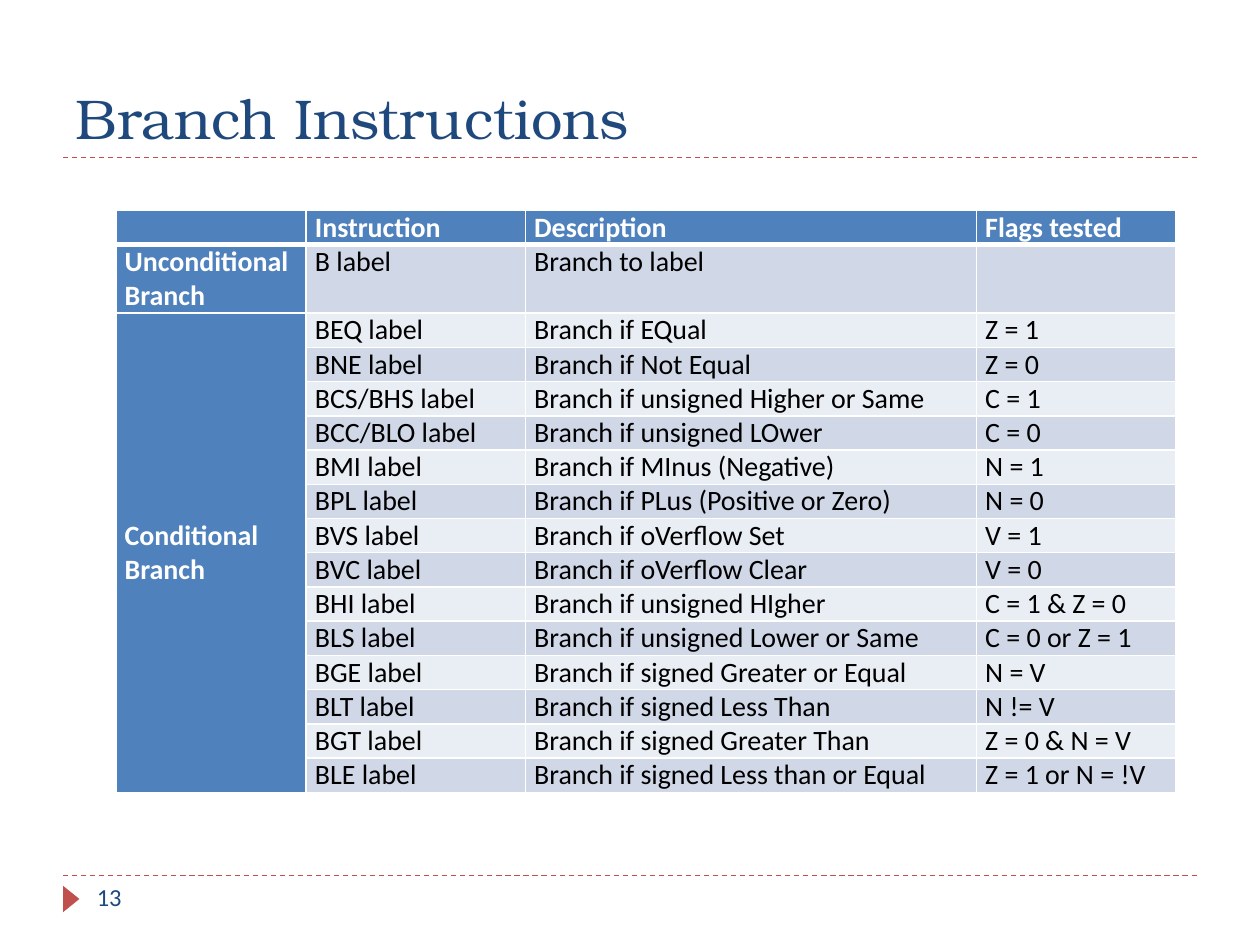
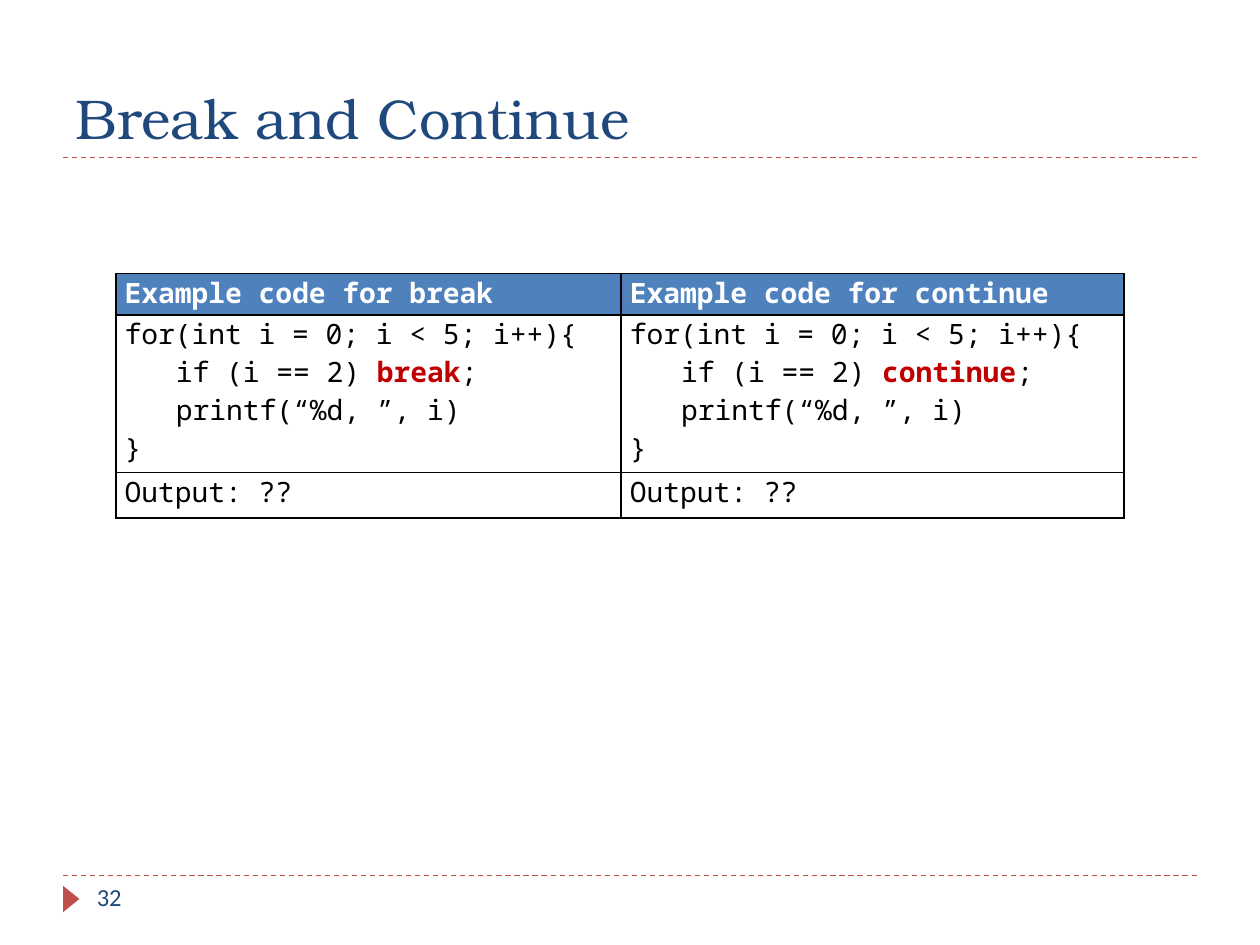
"""Builds two lecture slides: branch instructions, and break versus continue."""
from dataclasses import dataclass

from lxml import etree
from pptx import Presentation
from pptx import util as u
from pptx.dml.color import RGBColor
from pptx.enum import dml, shapes, text
from pptx.oxml.ns import qn


@dataclass(frozen=True)
class Theme:
    navy: str = "1F497D"
    red: str = "C0504D"
    header: str = "4F81BD"
    band_dark: str = "D0D8E8"
    band_light: str = "E9EDF4"
    keyword: str = "C00000"
    white: str = "FFFFFF"
    black: str = "000000"
    title_face: str = "TeX Gyre Bonum"
    body_face: str = "Calibri"
    code_face: str = "Noto Sans Mono"
    title_size: int = 32
    table_size: int = 16
    number_size: int = 14


theme = Theme()


def style(span, face, size, colour, bold=False):
    span.font.name = face
    span.font.size = u.Pt(size)
    span.font.bold = bold
    span.font.color.rgb = RGBColor.from_string(colour)


def write_cell(cell, lines, face, fill, border, widths, heading, keyword=None):
    cell.margin_left = cell.margin_right = u.Inches(0.07)
    cell.margin_top = cell.margin_bottom = 0
    cell.text_frame.text = "\n".join(lines)
    for para in cell.text_frame.paragraphs:
        para.alignment = text.PP_ALIGN.JUSTIFY
        line = para.text
        if line.startswith(" "):
            para._p.get_or_add_pPr().set("indent", str(u.Inches(0.14)))
        if keyword and keyword in line:
            before, _, after = line.partition(keyword)
            para.text = before
            para.add_run().text = keyword
            para.add_run().text = after
        for span in para.runs:
            marked = span.text == keyword
            colour = theme.keyword if marked else theme.white if heading else theme.black
            style(span, face, theme.table_size, colour, heading or marked)
        if not line:
            etree.SubElement(para._p, qn("a:endParaRPr"), sz=str(theme.table_size * 100))
    if fill:
        cell.fill.solid()
        cell.fill.fore_color.rgb = RGBColor.from_string(fill)
    else:
        cell.fill.background()
    properties = cell._tc.get_or_add_tcPr()
    for index, (side, width) in enumerate(zip("LRTB", widths)):
        edge = etree.Element(qn(f"a:ln{side}"), w=str(u.Pt(width)))
        paint = etree.SubElement(edge, qn("a:solidFill"))
        etree.SubElement(paint, qn("a:srgbClr"), val=border)
        properties.insert(index, edge)


deck = Presentation()
deck.slide_width, deck.slide_height = u.Inches(10), u.Inches(7.5)
layout = deck.slide_layouts.get_by_name("Title Only")
pages = []

for heading, number in (("Branch Instructions", "13"), ("Break and Continue", "32")):
    page = deck.slides.add_slide(layout)
    pages.append(page)
    title = page.shapes.title
    title.left, title.top = u.Inches(0.5), u.Inches(0.17)
    title.width, title.height = u.Inches(9), u.Inches(1.08)
    title.text_frame.text = heading
    title.text_frame.vertical_anchor = text.MSO_ANCHOR.BOTTOM
    title.text_frame.paragraphs[0].alignment = text.PP_ALIGN.LEFT
    style(title.text_frame.paragraphs[0].runs[0], theme.title_face, theme.title_size, theme.navy)

    box = page.shapes.add_textbox(u.Inches(0.67), u.Inches(6.95), u.Inches(2.17), u.Inches(0.4))
    box.text_frame.word_wrap = True
    box.text_frame.text = number
    style(box.text_frame.paragraphs[0].runs[0], theme.body_face, theme.number_size, theme.navy)

branch_page, loop_page = pages

for rule_top in (6.95, 1.25):
    rule = branch_page.shapes.add_connector(
        shapes.MSO_CONNECTOR.STRAIGHT,
        u.Inches(0.5), u.Inches(rule_top), u.Inches(9.5), u.Inches(rule_top))
    rule.line.color.rgb = RGBColor.from_string(theme.red)
    rule.line.width = u.Pt(0.75)
    rule.line.dash_style = dml.MSO_LINE.DASH
    etree.SubElement(rule._element.spPr, qn("a:effectLst"))
    layout.shapes._spTree.append(rule._element)

marker = branch_page.shapes.add_shape(
    shapes.MSO_SHAPE.ISOSCELES_TRIANGLE,
    u.Inches(0.46), u.Inches(7.07), u.Inches(0.21), u.Inches(0.13))
marker.rotation = 90
marker.shadow.inherit = False
marker.fill.solid()
marker.fill.fore_color.rgb = RGBColor.from_string(theme.red)
marker.line.fill.background()
layout.shapes._spTree.append(marker._element)

branch_rows = [
    ("", "Instruction", "Description", "Flags tested"),
    ("Unconditional Branch", "B label", "Branch to label", ""),
    ("Conditional Branch", "BEQ label", "Branch if EQual", "Z = 1"),
    ("", "BNE label", "Branch if Not Equal", "Z = 0"),
    ("", "BCS/BHS label", "Branch if unsigned Higher or Same", "C = 1"),
    ("", "BCC/BLO label", "Branch if unsigned LOwer", "C = 0"),
    ("", "BMI label", "Branch if MInus (Negative)", "N = 1"),
    ("", "BPL label", "Branch if PLus (Positive or Zero)", "N = 0"),
    ("", "BVS label", "Branch if oVerflow Set", "V = 1"),
    ("", "BVC label", "Branch if oVerflow Clear", "V = 0"),
    ("", "BHI label", "Branch if unsigned HIgher", "C = 1 & Z = 0"),
    ("", "BLS label", "Branch if unsigned Lower or Same", "C = 0 or Z = 1"),
    ("", "BGE label", "Branch if signed Greater or Equal", "N = V"),
    ("", "BLT label", "Branch if signed Less Than", "N != V"),
    ("", "BGT label", "Branch if signed Greater Than", "Z = 0 & N = V"),
    ("", "BLE label", "Branch if signed Less than or Equal", "Z = 1 or N = !V"),
]
table_height = 4.62
line_height = table_height / (len(branch_rows) + 1)
branch_table = branch_page.shapes.add_table(
    len(branch_rows), 4, u.Inches(0.92), u.Inches(1.67), u.Inches(8.41), u.Inches(table_height)).table
for column, width in zip(branch_table.columns, (1.51, 1.74, 3.58, 1.58)):
    column.width = u.Inches(width)
for row_index, entries in enumerate(branch_rows):
    branch_table.rows[row_index].height = u.Inches(line_height * (2 if row_index == 1 else 1))
    band = theme.band_dark if row_index % 2 else theme.band_light
    widths = (1, 1, 3 if row_index == 1 else 1, 3 if row_index == 0 else 1)
    for column_index, entry in enumerate(entries):
        is_heading = row_index == 0 or column_index == 0
        cell = branch_table.cell(row_index, column_index)
        write_cell(cell, [entry], theme.body_face, theme.header if is_heading else band,
                   theme.white, widths, is_heading)
        if column_index == 0:
            cell.vertical_anchor = text.MSO_ANCHOR.MIDDLE
branch_table.cell(2, 0).merge(branch_table.cell(len(branch_rows) - 1, 0))

loop_table = loop_page.shapes.add_table(
    3, 2, u.Inches(0.92), u.Inches(2.17), u.Inches(8), u.Inches(1.94)).table
for row, height in zip(loop_table.rows, (0.33, 1.25, 0.36)):
    row.height = u.Inches(height)
for column_index, (keyword, width) in enumerate((("break", 4.01), ("continue", 3.99))):
    loop_table.columns[column_index].width = u.Inches(width)
    code = ["for(int i = 0; i < 5; i++){", f"  if (i == 2) {keyword};", "  printf(“%d, ”, i)", "}"]
    for row_index, lines in enumerate(([f"Example code for {keyword}"], code, ["Output: ??"])):
        is_heading = row_index == 0
        write_cell(loop_table.cell(row_index, column_index), lines, theme.code_face,
                   theme.header if is_heading else None, theme.black, (1, 1, 1, 1),
                   is_heading, None if is_heading else keyword)

deck.save("out.pptx")
